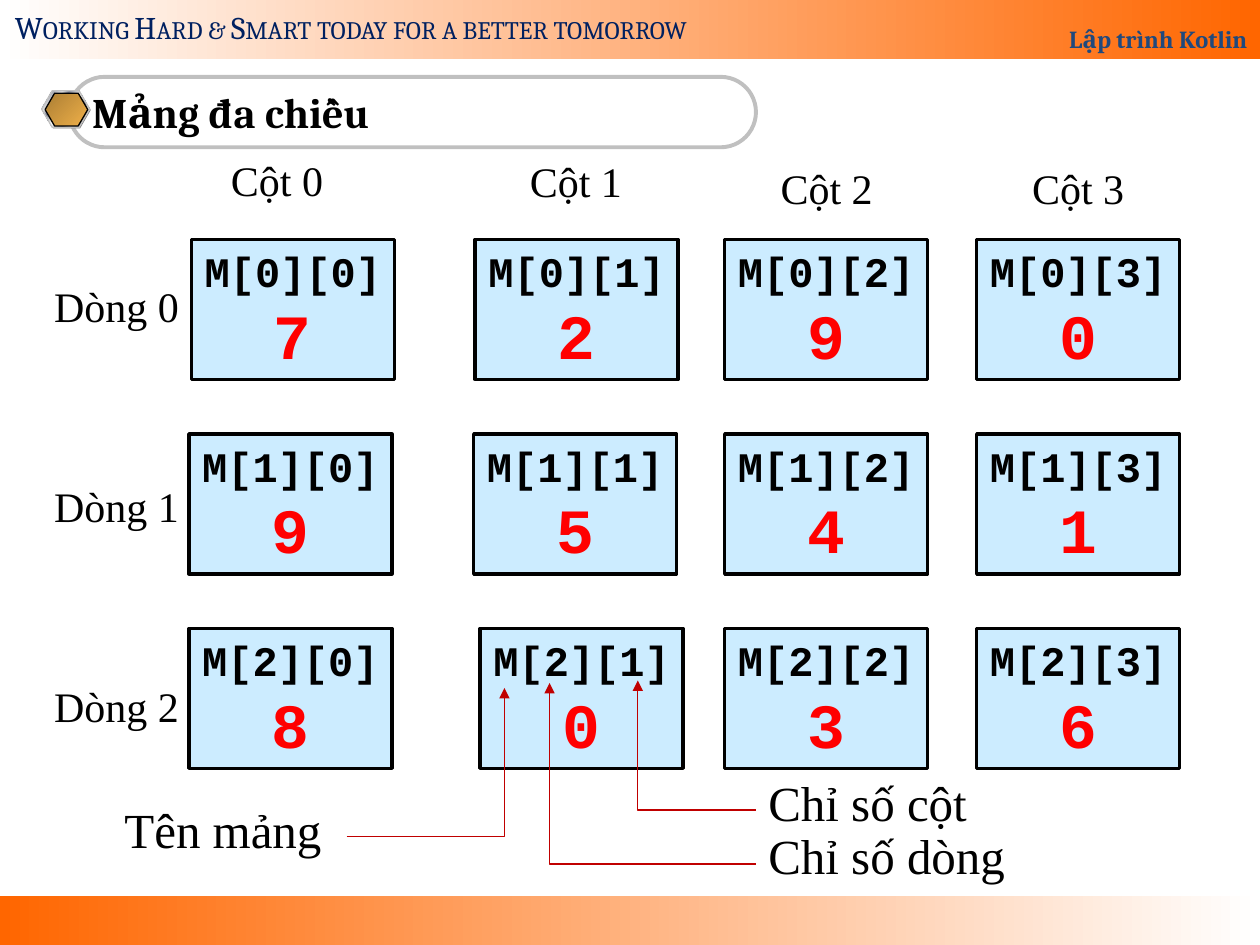
from lxml import etree
from pptx import Presentation
from pptx.dml.color import RGBColor as Rgb
from pptx.enum.shapes import MSO_CONNECTOR as Link, MSO_SHAPE as Shape
from pptx.enum.text import MSO_ANCHOR as Anchor, PP_ALIGN as Align
from pptx.oxml.ns import qn
from pptx.util import Cm, Pt

COLORS = {
    "white": "FFFFFF", "orange": "FF6600", "navy": "002060", "blue": "1F497D",
    "black": "000000", "silver": "C0C0C0", "gray": "808080", "light": "E6E6E6",
    "steel": "7D8496", "bronze": "AB7E34", "gold": "EFB049", "cell": "CCECFF",
    "red": "FF0000", "arrow": "C00000",
}
METAL = [(0, "light"), (7, "steel"), (26, "light"), (34, "steel"),
         (46, "light"), (50, "white"), (54, "light"), (66, "steel"),
         (74, "light"), (93, "steel"), (100, "light")]
VALUES = [[7, 2, 9, 0], [9, 5, 4, 1], [8, 0, 3, 6]]
CELL_LEFTS = [[3.86, 9.58, 14.61, 19.69],
              [3.81, 9.55, 14.61, 19.69],
              [3.81, 9.68, 14.61, 19.69]]
CELL_TOP, CELL_STEP = 4.83, 3.92
COLUMN_LABELS = [(4.39, 3.0, 2.39), (9.25, 3.02, 4.72),
                 (14.61, 3.15, 4.11), (19.69, 3.15, 4.09)]
SERIF = "Times New Roman"


def color(name):
    return Rgb.from_string(COLORS[name])


def set_gradient(shape, stops, angle=0):
    shape.fill.gradient()
    shape.fill.gradient_angle = angle
    stop_list = shape._element.spPr.find(".//" + qn("a:gsLst"))
    for stop in list(stop_list):
        stop_list.remove(stop)
    for percent, name in stops:
        stop = etree.SubElement(stop_list, qn("a:gs"), pos=str(percent * 1000))
        etree.SubElement(stop, qn("a:srgbClr"), val=COLORS[name])


def add_shape(page, kind, at, fill=None, stops=None, angle=0, line=None, width=0.75):
    shape = page.shapes.add_shape(kind, *map(Cm, at))
    shape.shadow.inherit = False
    if stops:
        set_gradient(shape, stops, angle)
    elif fill:
        shape.fill.solid()
        shape.fill.fore_color.rgb = color(fill)
    else:
        shape.fill.background()
    if line:
        shape.line.color.rgb = color(line)
        shape.line.width = Pt(width)
    else:
        shape.line.fill.background()
    return shape


def write(para, text, size, font, ink="black", bold=False, align=Align.LEFT):
    span = para.add_run()
    span.text = text
    para.alignment = align
    para.font.size = Pt(size)
    para.font.name = font
    para.font.bold = bold
    para.font.color.rgb = color(ink)
    return span


def add_label(page, text, at, size=24, font=SERIF, ink="black", align=Align.LEFT):
    box = page.shapes.add_textbox(*map(Cm, at))
    box.text_frame.word_wrap = align == Align.CENTER
    return write(box.text_frame.paragraphs[0], text, size, font, ink, align=align)


def add_cell(page, row, column):
    at = (CELL_LEFTS[row][column], CELL_TOP + row * CELL_STEP, 4.09, 2.82)
    cell = add_shape(page, Shape.RECTANGLE, at, fill="cell", line="black", width=2)
    frame = cell.text_frame
    frame.word_wrap = False
    frame.vertical_anchor = Anchor.TOP
    write(frame.paragraphs[0], f"M[{row}][{column}]", 24, "Courier New",
          bold=True, align=Align.CENTER)
    write(frame.add_paragraph(), str(VALUES[row][column]), 36, "Courier New",
          "red", bold=True, align=Align.CENTER)


def add_arrow(page, start, end):
    arrow = page.shapes.add_connector(Link.ELBOW, *map(Cm, start + end))
    arrow.line.color.rgb = color("arrow")
    arrow.line.width = Pt(0.75)
    properties = arrow._element.spPr
    properties.find(qn("a:prstGeom")).set("prst", "bentConnector2")
    etree.SubElement(properties.find(qn("a:ln")), qn("a:tailEnd"), type="triangle")
    etree.SubElement(properties, qn("a:effectLst"))


def add_bands(page):
    add_shape(page, Shape.RECTANGLE, (0, 18.06, 25.4, 0.99),
              stops=[(0, "orange"), (100, "white")])
    header = add_shape(page, Shape.RECTANGLE, (0, -0.15, 25.4, 1.35),
                       stops=[(0, "white"), (100, "orange")])
    header.text_frame.vertical_anchor = Anchor.BOTTOM
    para = header.text_frame.paragraphs[0]
    para.line_spacing = 1.8
    write(para, "Lập trình Kotlin", 14, "Cambria", "blue", True, Align.RIGHT)
    motto = add_label(page, "Working Hard & Smart today for a better tomorrow",
                      (0.05, 0.03, 14.99, 1.02), 18, "Cambria", "navy")
    motto.font._element.set("cap", "small")


def add_title(page):
    title = add_shape(page, Shape.ROUNDED_RECTANGLE, (1.4, 1.55, 13.84, 1.42),
                      line="silver", width=2.25)
    title.adjustments[0] = 0.5
    title.text_frame.vertical_anchor = Anchor.MIDDLE
    write(title.text_frame.paragraphs[0], "Mảng đa chiều", 24, "Cambria", bold=True)
    layers = [
        ((0.86, 1.85, 0.97, 0.74), {"fill": "gray"}),
        ((0.84, 1.83, 0.97, 0.74), {"stops": METAL, "angle": 315, "line": "silver"}),
        ((0.91, 1.88, 0.86, 0.66), {"stops": [(0, "bronze"), (100, "gold")],
                                    "angle": 315, "line": "black"}),
    ]
    for at, style in layers:
        add_shape(page, Shape.HEXAGON, at, **style).adjustments[0] = 0.29


def add_matrix(page):
    for column, (left, top, width) in enumerate(COLUMN_LABELS):
        add_label(page, f"Cột {column}", (left, top, width, 1.27), align=Align.CENTER)
    for row, values in enumerate(VALUES):
        add_label(page, f"Dòng {row}", (0.84, 5.54 + 4.03 * row, 3.05, 1.27))
        for column in range(len(values)):
            add_cell(page, row, column)


def add_index_notes(page):
    notes = [
        ("Chỉ số cột", (15.24, 15.44, 4.55, 1.45), (15.24, 16.33), (12.86, 13.72)),
        ("Chỉ số dòng", (15.24, 16.51, 5.33, 1.45), (15.24, 17.42), (11.08, 13.77)),
        ("Tên mảng", (2.26, 16.0, 4.52, 1.45), (6.99, 16.87), (10.17, 13.87)),
    ]
    for text, at, start, end in notes:
        add_label(page, text, at, size=28)
        add_arrow(page, start, end)


def main():
    deck = Presentation()
    deck.slide_width, deck.slide_height = Cm(25.4), Cm(19.05)
    page = deck.slides.add_slide(deck.slide_layouts[6])
    add_bands(page)
    add_title(page)
    add_matrix(page)
    add_index_notes(page)
    deck.save("out.pptx")


if __name__ == "__main__":
    main()
